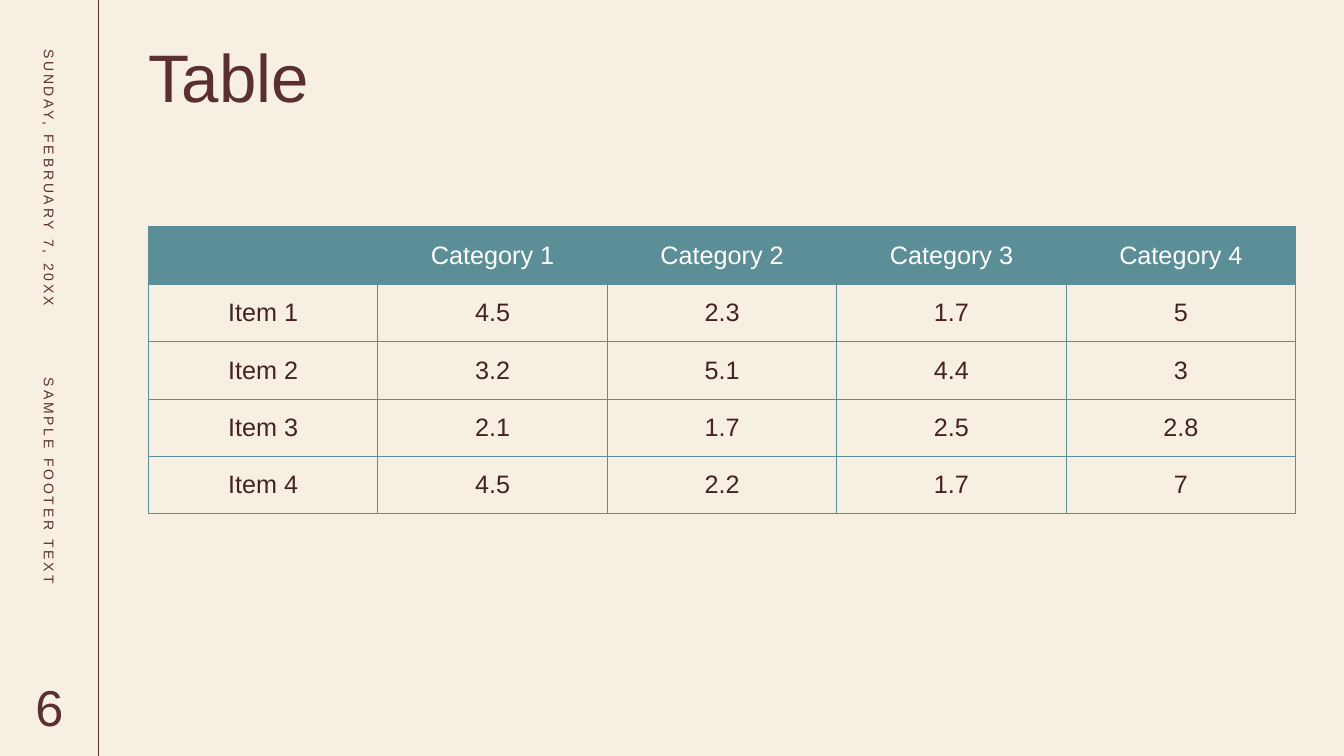
from dataclasses import dataclass

from lxml import etree
from pptx import Presentation
from pptx.dml.color import RGBColor
from pptx.enum.shapes import MSO_CONNECTOR
from pptx.enum.text import MSO_ANCHOR, MSO_AUTO_SIZE, PP_ALIGN
from pptx.oxml.ns import qn
from pptx.util import Pt

CREAM, MAROON, DARK_MAROON = "F8EFE3", "592F34", "432327"
TEAL, WHITE = "5B8E96", "FFFFFF"
FONT = "Arial"
SIDEBAR = 70.6
MARGIN = 106
CONTENT_WIDTH = 819.5
ROW_HEIGHT = 41.04

ROWS = [
    ["", "Category 1", "Category 2", "Category 3", "Category 4"],
    ["Item 1", "4.5", "2.3", "1.7", "5"],
    ["Item 2", "3.2", "5.1", "4.4", "3"],
    ["Item 3", "2.1", "1.7", "2.5", "2.8"],
    ["Item 4", "4.5", "2.2", "1.7", "7"],
]


@dataclass
class SidebarText:
    """A label in the sidebar, given by its unrotated box."""
    text: str
    left: float
    top: float
    width: float
    size: float
    rotation: float = 0
    spacing: float = 0
    inset: float = 0
    align: PP_ALIGN = PP_ALIGN.LEFT


SIDEBAR_TEXTS = [
    SidebarText("SUNDAY, FEBRUARY 7, 20XX", -73.6, 108.7, 218, 10, 90, 2, 5.76),
    SidebarText("SAMPLE FOOTER TEXT", -64, 334, 198.7, 10, 90, 2, 5.76),
    SidebarText("6", 0, 469.4, SIDEBAR, 36, align=PP_ALIGN.CENTER),
]


def rgb(color: str) -> RGBColor:
    """Turn a hex string into a colour."""
    return RGBColor.from_string(color)


def write(frame, text: str, size: float, color: str, align: PP_ALIGN,
          spacing: float = 0) -> None:
    """Put one formatted line of text into a text frame."""
    paragraph = frame.paragraphs[0]
    paragraph.alignment = align
    run = paragraph.add_run()
    run.text = text
    run.font.name, run.font.size = FONT, Pt(size)
    run.font.color.rgb = rgb(color)
    if spacing:
        run.font._element.set("spc", str(round(spacing * 100)))


def prepare_frame(frame, anchor: MSO_ANCHOR, inset: float = 0) -> None:
    """Set wrapping, anchor and margins; inset applies above and below."""
    frame.word_wrap = True
    frame.auto_size = MSO_AUTO_SIZE.NONE
    frame.vertical_anchor = anchor
    frame.margin_left = frame.margin_right = 0
    frame.margin_top = frame.margin_bottom = Pt(inset)


def add_divider(slide, height: int) -> None:
    """Draw the line between sidebar and content."""
    line = slide.shapes.add_connector(
        MSO_CONNECTOR.STRAIGHT, Pt(SIDEBAR), 0, Pt(SIDEBAR), height)
    line.line.color.rgb = rgb(MAROON)
    line.line.width = Pt(0.75)
    etree.SubElement(line._element.spPr, qn("a:effectLst"))


def set_title(slide, text: str) -> None:
    """Place and format the title placeholder."""
    title = slide.shapes.title
    title.left, title.top = Pt(MARGIN), Pt(25.2)
    title.width, title.height = Pt(CONTENT_WIDTH), Pt(99.4)
    prepare_frame(title.text_frame, MSO_ANCHOR.TOP)
    write(title.text_frame, text, 48, MAROON, PP_ALIGN.LEFT)


def add_sidebar_text(slide, item: SidebarText) -> None:
    """Add one sidebar label."""
    box = slide.shapes.add_textbox(
        Pt(item.left), Pt(item.top), Pt(item.width), Pt(SIDEBAR))
    box.rotation = item.rotation
    prepare_frame(box.text_frame, MSO_ANCHOR.MIDDLE, item.inset)
    write(box.text_frame, item.text, item.size, MAROON, item.align, item.spacing)


def set_border(cell, side: str, width: float) -> None:
    """Draw a teal border on one side (L, R, T or B) of a cell."""
    properties = cell._tc.get_or_add_tcPr()
    line = etree.SubElement(properties, qn(f"a:ln{side}"), w=str(Pt(width)))
    fill = etree.SubElement(line, qn("a:solidFill"))
    etree.SubElement(fill, qn("a:srgbClr"), val=TEAL)


def add_table(slide, rows: list[list[str]]) -> None:
    """Add the table with a teal header row and open body cells."""
    table = slide.shapes.add_table(
        len(rows), len(rows[0]), Pt(MARGIN), Pt(162),
        Pt(CONTENT_WIDTH), Pt(ROW_HEIGHT * len(rows))).table
    table.horz_banding = False
    for row in table.rows:
        row.height = Pt(ROW_HEIGHT)
    for r, values in enumerate(rows):
        header = r == 0
        for c, value in enumerate(values):
            cell = table.cell(r, c)
            for side in "LRTB":
                set_border(cell, side, 0.5 if header and side == "T" else 0.75)
            if header:
                cell.fill.solid()
                cell.fill.fore_color.rgb = rgb(TEAL)
            else:
                cell.fill.background()
            cell.vertical_anchor = MSO_ANCHOR.MIDDLE
            if value:
                write(cell.text_frame, value, 18,
                      WHITE if header else DARK_MAROON, PP_ALIGN.CENTER)
                cell.text_frame.paragraphs[0].runs[0].font.bold = False


def main() -> None:
    """Build and save the slide."""
    deck = Presentation()
    deck.slide_width, deck.slide_height = Pt(960), Pt(540)
    slide = deck.slides.add_slide(deck.slide_layouts[5])
    slide.background.fill.solid()
    slide.background.fill.fore_color.rgb = rgb(CREAM)
    add_divider(slide, deck.slide_height)
    set_title(slide, "Table")
    for item in SIDEBAR_TEXTS:
        add_sidebar_text(slide, item)
    add_table(slide, ROWS)
    deck.save("out.pptx")


main()
